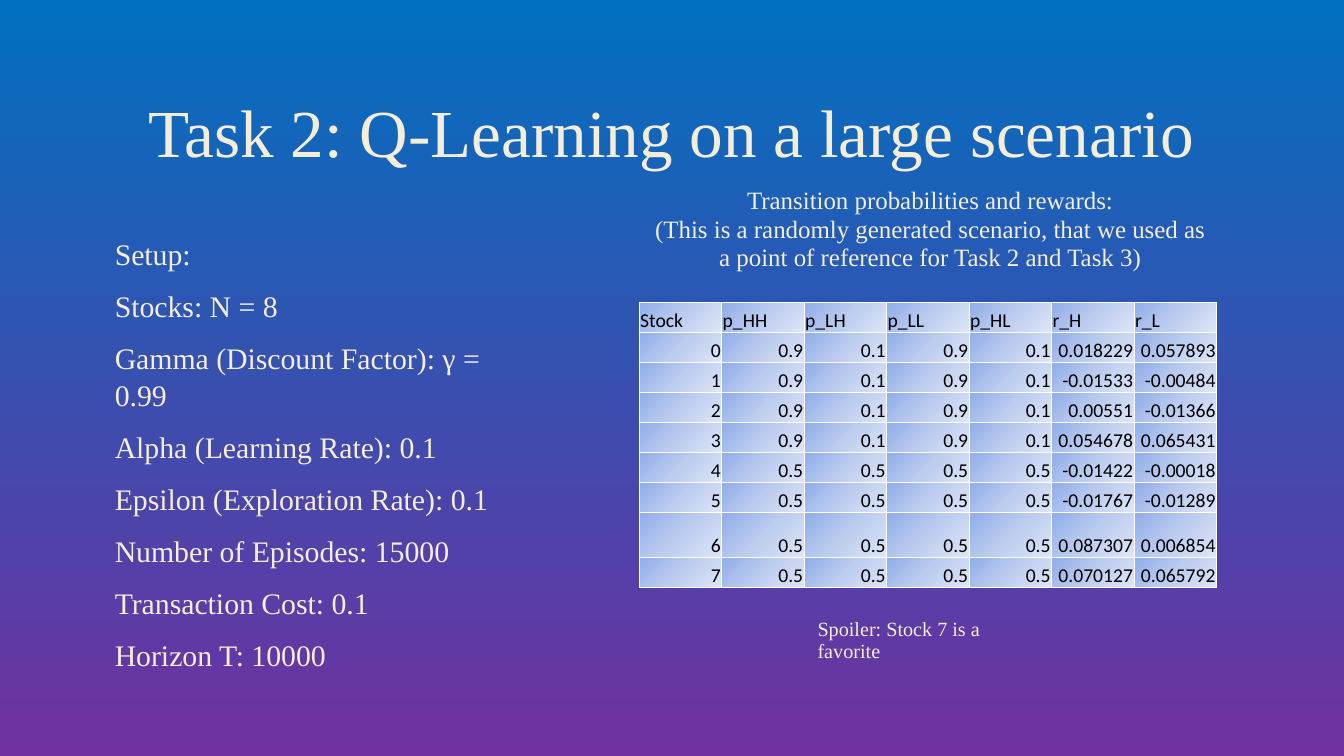
import pptx
import pptx.dml.color
import pptx.enum.text
import pptx.oxml
import pptx.oxml.ns
import pptx.util

RGBColor = pptx.dml.color.RGBColor
ALIGN = pptx.enum.text.PP_ALIGN
ANCHOR = pptx.enum.text.MSO_ANCHOR
qn = pptx.oxml.ns.qn

BLUE = RGBColor(0x00, 0x70, 0xC0)
PURPLE = RGBColor(0x70, 0x30, 0xA0)
CREAM = RGBColor(0xF4, 0xED, 0xD8)
GREY = RGBColor(0x40, 0x40, 0x40)
BLACK = RGBColor(0x00, 0x00, 0x00)
WHITE = RGBColor(0xFF, 0xFF, 0xFF)
CELL_COLORS = (RGBColor(0x8F, 0xAD, 0xE9), RGBColor(0xBC, 0xCC, 0xEF),
               RGBColor(0xDE, 0xE6, 0xF7))
SERIF, SANS = "Times New Roman", "Calibri"

SLIDE_WIDTH, SLIDE_HEIGHT = pptx.util.Inches(13.33), pptx.util.Inches(7.5)

SETUP = (
    "Setup:",
    "Stocks: N = 8",
    "Gamma (Discount Factor): γ = 0.99",
    "Alpha (Learning Rate): 0.1",
    "Epsilon (Exploration Rate): 0.1",
    "Number of Episodes: 15000",
    "Transaction Cost: 0.1",
    "Horizon T: 10000",
)
CAPTION = ("Transition probabilities and rewards:\n(This is a randomly generated "
           "scenario, that we used as a point of reference for Task 2 and Task 3)")
HEADER = ("Stock", "p_HH", "p_LH", "p_LL", "p_HL", "r_H", "r_L")
REWARDS = (
    ("0.018229", "0.057893"),
    ("-0.01533", "-0.00484"),
    ("0.00551", "-0.01366"),
    ("0.054678", "0.065431"),
    ("-0.01422", "-0.00018"),
    ("-0.01767", "-0.01289"),
    ("0.087307", "0.006854"),
    ("0.070127", "0.065792"),
)
# The first four stocks share one set of probabilities, the rest another
STICKY, EVEN = ("0.9", "0.1") * 2, ("0.5",) * 4
ROW_UNITS = (2,) * 7 + (3, 2)


def share_box(left, top, width, height):
    """Turn percentages of the slide into lengths."""
    return (round(SLIDE_WIDTH * left / 100), round(SLIDE_HEIGHT * top / 100),
            round(SLIDE_WIDTH * width / 100), round(SLIDE_HEIGHT * height / 100))


def make_element(xml):
    namespace = 'xmlns:a="http://schemas.openxmlformats.org/drawingml/2006/main"'
    return pptx.oxml.parse_xml(xml.replace(" ", f" {namespace} ", 1))


def paint_gradient(fill, owner, colors, angle):
    """Fill with evenly spaced stops; the angle runs counter-clockwise."""
    fill.gradient()
    fill.gradient_angle = angle
    stops = owner.find(".//" + qn("a:gsLst"))
    for stop in list(stops):
        stops.remove(stop)
    for index, color in enumerate(colors):
        position = 100000 * index // (len(colors) - 1)
        stops.append(make_element(
            f'<a:gs pos="{position}"><a:srgbClr val="{color}"/></a:gs>'))


def add_glow(run):
    """Give the letters a faint outline and a soft shadow."""
    properties = run.font._element
    properties.insert(0, make_element(
        f'<a:ln w="9525"><a:solidFill><a:srgbClr val="{GREY}">'
        '<a:alpha val="10000"/></a:srgbClr></a:solidFill></a:ln>'))
    properties.insert(2, make_element(
        '<a:effectLst ><a:outerShdw blurRad="38100" dist="25400" dir="2700000">'
        '<a:srgbClr val="000000"><a:alpha val="50000"/></a:srgbClr>'
        '</a:outerShdw></a:effectLst>'))


def write_text(frame, paragraphs, size, font=SERIF, color=CREAM, align=ALIGN.LEFT,
               line_spacing=None, indent=0.0, spaced=False, glow=True):
    for index, text in enumerate(paragraphs):
        paragraph = frame.add_paragraph() if index else frame.paragraphs[0]
        paragraph.text = text
        paragraph.alignment = align
        paragraph.line_spacing = line_spacing
        if indent:
            properties = paragraph._p.get_or_add_pPr()
            properties.set("marL", str(pptx.util.Inches(indent)))
            properties.set("indent", "0")
        if spaced:
            paragraph.space_before = pptx.util.Pt(round(size * 0.2, 1))
            paragraph.space_after = pptx.util.Pt(6)
        for run in paragraph.runs:
            run.font.size = pptx.util.Pt(size)
            run.font.color.rgb = color
            run.font.name = font
            if glow:
                add_glow(run)


def add_text_region(slide, box, paragraphs, anchor=ANCHOR.TOP, **text_format):
    frame = slide.shapes.add_textbox(*box).text_frame
    frame.word_wrap = True
    frame.vertical_anchor = anchor
    write_text(frame, paragraphs, **text_format)


def style_cell(cell):
    cell.vertical_anchor = ANCHOR.BOTTOM
    cell.margin_left = cell.margin_right = cell.margin_top = pptx.util.Inches(0.01)
    cell.margin_bottom = 0
    paint_gradient(cell.fill, cell._tc, CELL_COLORS, 315)
    for index, side in enumerate(("lnL", "lnR", "lnT", "lnB")):
        cell._tc.tcPr.insert(index, make_element(
            f'<a:{side} w="12700"><a:solidFill><a:srgbClr val="{WHITE}"/>'
            f'</a:solidFill></a:{side}>'))


def add_stock_table(slide, box):
    rows = [HEADER]
    for stock, rewards in enumerate(REWARDS):
        rows.append((str(stock), *(STICKY if stock < 4 else EVEN), *rewards))
    table = slide.shapes.add_table(len(rows), len(HEADER), *box).table
    table.first_row = table.horz_banding = False
    for column in table.columns:
        column.width = box[2] // len(HEADER)
    for row_index, values in enumerate(rows):
        table.rows[row_index].height = box[3] * ROW_UNITS[row_index] // sum(ROW_UNITS)
        for column_index, value in enumerate(values):
            cell = table.cell(row_index, column_index)
            write_text(cell.text_frame, [value], size=14, font=SANS, color=BLACK,
                       align=ALIGN.RIGHT if row_index else ALIGN.LEFT, glow=False)
            style_cell(cell)


def main():
    presentation = pptx.Presentation()
    presentation.slide_width, presentation.slide_height = SLIDE_WIDTH, SLIDE_HEIGHT
    slide = presentation.slides.add_slide(presentation.slide_layouts[6])
    paint_gradient(slide.background.fill, slide.element, (BLUE, PURPLE), 270)

    # Title
    add_text_region(slide, share_box(7.5, 8.93, 84.92, 18),
                    ["Task 2: Q-Learning on a large scenario"], anchor=ANCHOR.MIDDLE,
                    size=48, align=ALIGN.CENTER, line_spacing=0.9)
    # Setup list
    add_text_region(slide, share_box(7.5, 30.27, 32.78, 54.13), SETUP,
                    size=21.3, line_spacing=1.05, indent=0.04, spaced=True)
    # Table with its caption and remark
    add_text_region(slide, share_box(47.56, 24.13, 42.98, 13.33), [CAPTION],
                    size=17.8, align=ALIGN.CENTER, line_spacing=0.94,
                    indent=0.04, spaced=True)
    add_stock_table(slide, share_box(47.56, 40, 42.98, 37.73))
    add_text_region(slide, share_box(59.79, 81.2, 18.08, 5.6),
                    ["Spoiler: Stock 7 is a favorite"],
                    size=14.4, line_spacing=0.9, indent=0.04, spaced=True)

    presentation.save("out.pptx")


if __name__ == "__main__":
    main()
